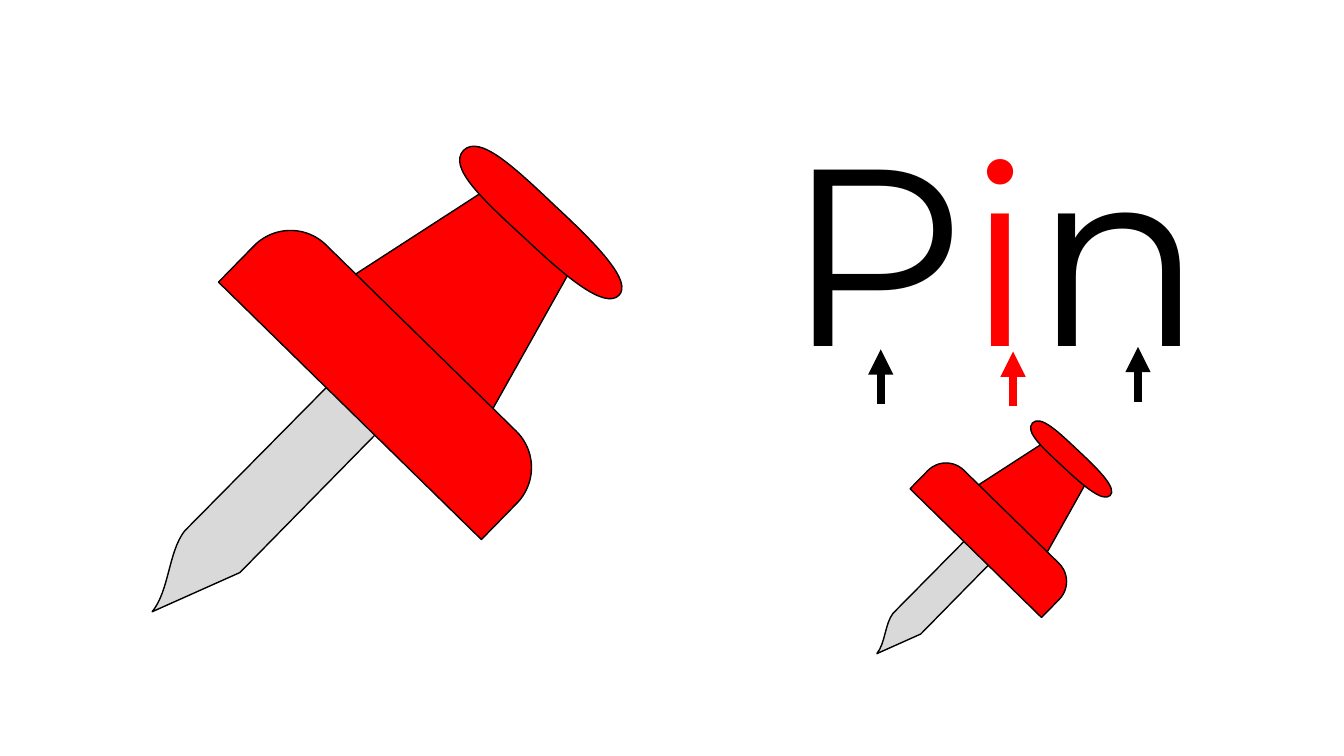
from dataclasses import dataclass

from lxml import etree
from pptx import Presentation, util as u
from pptx.dml.color import RGBColor
from pptx.enum import shapes, text
from pptx.oxml.ns import qn

RED = RGBColor(0xFF, 0x00, 0x00)
BLACK = RGBColor(0x00, 0x00, 0x00)
STEEL = RGBColor(0xD9, 0xD9, 0xD9)
Point = tuple[float, float]
ARROW_LENGTH = 39.2


@dataclass(frozen=True)
class Letter:
    glyph: str
    colour: RGBColor
    arrow_x: float
    arrow_foot: float


@dataclass(frozen=True)
class Pin:
    left: float
    top: float
    scale: float

    def place(self, point: Point) -> tuple[int, int]:
        return (u.Pt(self.left + self.scale * point[0]),
                u.Pt(self.top + self.scale * point[1]))


@dataclass(frozen=True)
class Outline:
    colour: RGBColor
    start: Point
    segments: tuple[tuple[Point, ...], ...]
    rotation: float = 0


@dataclass(frozen=True)
class Part:
    preset: shapes.MSO_SHAPE
    left: float
    top: float
    width: float
    height: float
    rotation: float
    adjustments: tuple[float, ...] = ()
    flipped: bool = False


LETTERS = (
    Letter("P", BLACK, 629.1, 288.8),
    Letter("i", RED, 723.6, 290.3),
    Letter("n", BLACK, 812.9, 287),
)
LARGE_PIN = Pin(0, 0, 1)
SMALL_PIN = Pin(572, 248.4, 0.5)

NEEDLE = Outline(STEEL, (247.7, 262.1), (
    ((290.9, 287.3),),
    ((171.4, 409),),
    ((108.7, 437),),
    ((121, 421.9), (120.2, 394.6), (131.8, 379.4)),
))
NECK = Part(shapes.MSO_SHAPE.FLOWCHART_MANUAL_OPERATION,
            263.5, 151.9, 142.6, 115.2, 43.2, flipped=True)
COLLAR = Part(shapes.MSO_SHAPE.ROUND_2_SAME_RECTANGLE,
              144, 231.1, 262.8, 72.7, 44.4, (0.5, 0))
CAP = Outline(RED, (371, 159.5), (
    ((370.6, 117.5), (370.3, 83.4), (386.8, 83.4)),
    ((403, 83.9), (402.9, 117.5), (402.6, 159.5)),
    ((402.8, 201.5), (400.6, 236), (386.9, 235.2)),
    ((373.1, 234.2), (370.8, 201), (371, 159.5)),
), 313.1)


def apply(target, values: dict) -> None:
    for name, value in values.items():
        setattr(target, name, value)


def paint(piece, colour: RGBColor) -> None:
    piece.shadow.inherit = False
    piece.fill.solid()
    piece.fill.fore_color.rgb = colour
    piece.line.color.rgb = BLACK
    piece.line.width = u.Pt(1)


def bend(piece, segments: tuple[tuple[Point, ...], ...]) -> None:
    steps = iter(list(piece._element.iter(qn("a:lnTo"))))
    for segment in segments:
        first, *others = [next(steps) for _ in segment]
        if others:
            first.tag = qn("a:cubicBezTo")
            for step in others:
                first.append(step[0])
                step.getparent().remove(step)


def draw_outline(group, pin: Pin, outline: Outline) -> None:
    builder = group.shapes.build_freeform(*pin.place(outline.start))
    builder.add_line_segments(
        [pin.place(point) for segment in outline.segments for point in segment],
        close=True)
    piece = builder.convert_to_shape()
    bend(piece, outline.segments)
    piece.rotation = outline.rotation
    paint(piece, outline.colour)


def draw_part(group, pin: Pin, part: Part) -> None:
    piece = group.shapes.add_shape(
        part.preset, *pin.place((part.left, part.top)),
        u.Pt(part.width * pin.scale), u.Pt(part.height * pin.scale))
    piece.rotation = part.rotation
    for index, value in enumerate(part.adjustments):
        piece.adjustments[index] = value
    if part.flipped:
        piece._element.spPr.find(qn("a:xfrm")).set("flipV", "1")
    paint(piece, RED)


def draw_pin(slide, pin: Pin) -> None:
    group = slide.shapes.add_group_shape()
    draw_outline(group, pin, NEEDLE)
    draw_part(group, pin, NECK)
    draw_part(group, pin, COLLAR)
    draw_outline(group, pin, CAP)


def draw_arrow(slide, letter: Letter) -> None:
    x = u.Pt(letter.arrow_x)
    arrow = slide.shapes.add_connector(
        shapes.MSO_CONNECTOR.STRAIGHT, x, u.Pt(letter.arrow_foot),
        x, u.Pt(letter.arrow_foot - ARROW_LENGTH))
    arrow.line.color.rgb = letter.colour
    arrow.line.width = u.Pt(6)
    etree.SubElement(arrow.line._get_or_add_ln(), qn("a:tailEnd"), type="triangle")
    etree.SubElement(arrow._element.spPr, qn("a:effectLst"))


def write_word(slide) -> None:
    word = slide.shapes.title
    apply(word, {"left": u.Pt(553.7), "top": u.Pt(63.7),
                 "width": u.Pt(381.6), "height": u.Pt(225.4)})
    apply(word.text_frame, {"word_wrap": True,
                            "vertical_anchor": text.MSO_ANCHOR.TOP,
                            "auto_size": text.MSO_AUTO_SIZE.SHAPE_TO_FIT_TEXT})
    paragraph = word.text_frame.paragraphs[0]
    apply(paragraph, {"alignment": text.PP_ALIGN.LEFT, "line_spacing": 1.0,
                      "space_before": u.Pt(0)})
    for letter in LETTERS:
        run = paragraph.add_run()
        run.text = letter.glyph
        apply(run.font, {"name": "Montserrat", "size": u.Pt(180)})
        run.font.color.rgb = letter.colour
        edge = etree.Element(qn("a:ln"), w=str(u.Pt(0.75)))
        ink = etree.SubElement(edge, qn("a:solidFill"))
        etree.SubElement(ink, qn("a:srgbClr"), val=str(BLACK))
        run._r.get_or_add_rPr().insert(0, edge)


def main() -> None:
    deck = Presentation()
    apply(deck, {"slide_width": u.Pt(960), "slide_height": u.Pt(540)})
    slide = deck.slides.add_slide(deck.slide_layouts[5])
    draw_pin(slide, LARGE_PIN)
    write_word(slide)
    for letter in LETTERS:
        draw_arrow(slide, letter)
    draw_pin(slide, SMALL_PIN)
    deck.save("out.pptx")


if __name__ == "__main__":
    main()
